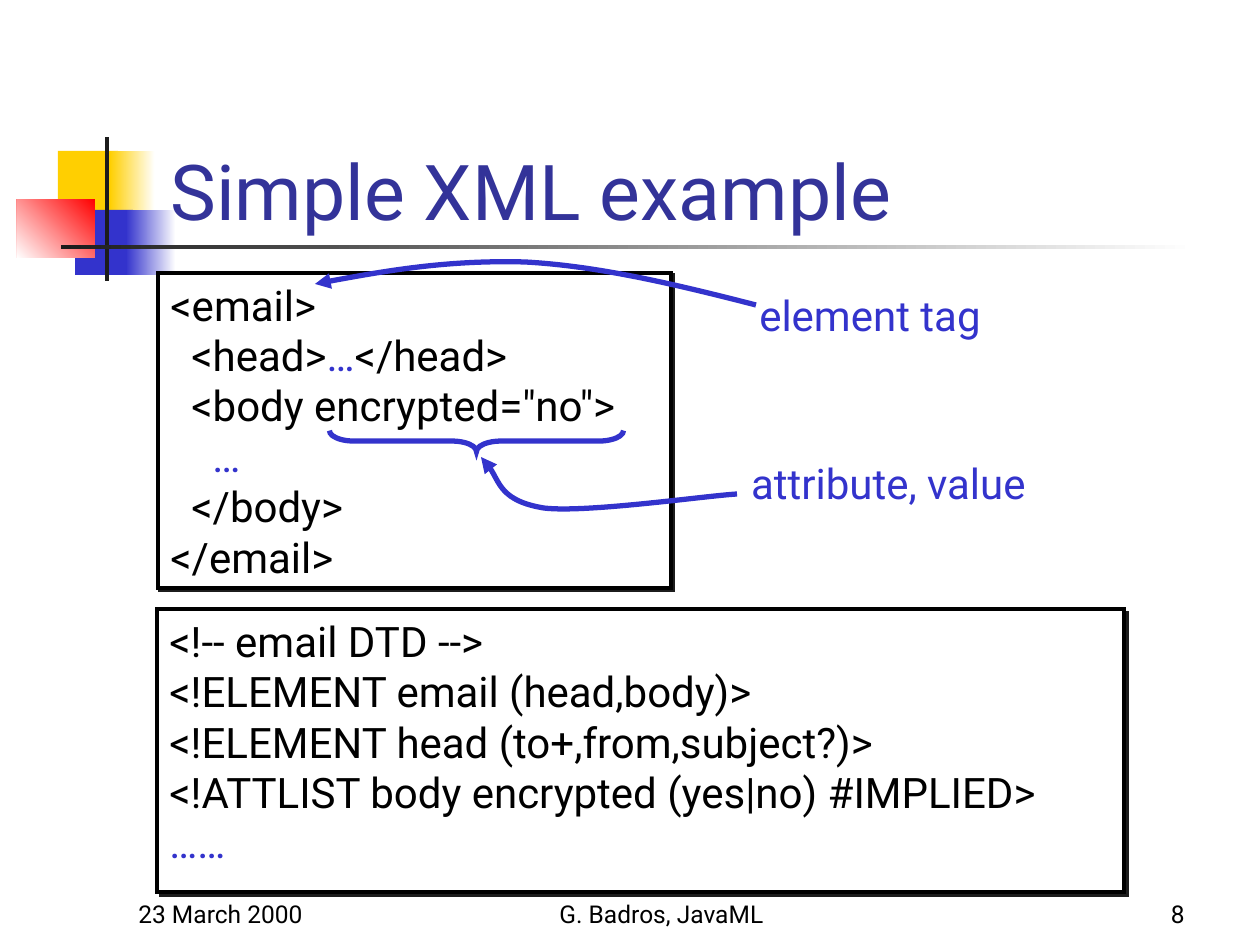
import pptx
import pptx.util
import pptx.dml.color
import pptx.enum.shapes
import pptx.enum.text
import pptx.oxml
import pptx.oxml.ns

PX = 914400 / 126
FONT = "Roboto"
COLORS = {
    "white": "FFFFFF", "black": "000000", "dark": "1C1C1C", "gold": "FFCF01",
    "blue": "3333CC", "navy": "333399", "red": "FF0000",
}
KIND = pptx.enum.shapes.MSO_SHAPE
ALIGN = pptx.enum.text.PP_ALIGN
ANCHOR = pptx.enum.text.MSO_ANCHOR
NS = pptx.oxml.ns.nsdecls("a")


def emu(n):
    return pptx.util.Emu(round(n * PX))


def rgb(name):
    return pptx.dml.color.RGBColor.from_string(COLORS[name])


def stroke(shape, color, width):
    """Solid line with sharp corners."""
    shape.line.color.rgb = rgb(color)
    shape.line.width = pptx.util.Pt(width)
    shape.line._get_or_add_ln().append(
        pptx.oxml.parse_xml(f'<a:miter {NS} lim="800000"/>'))


def add_rect(slide, box, color):
    shape = slide.shapes.add_shape(KIND.RECTANGLE, *map(emu, box))
    shape.shadow.inherit = False
    shape.line.fill.background()
    shape.fill.solid()
    shape.fill.fore_color.rgb = rgb(color)
    return shape


def add_fade(slide, box, start, end, angle=180):
    fill = add_rect(slide, box, start).fill
    fill.gradient()
    fill.gradient_angle = angle
    for stop, color, place in zip(fill.gradient_stops, (start, end), (0, 1)):
        stop.color.rgb = rgb(color)
        stop.position = place


def set_text(shape, lines, size, color="black", align=ALIGN.LEFT,
             anchor=ANCHOR.TOP, wrap=True):
    """Each line is an indent in px and a list of (text, colour) runs."""
    frame = shape.text_frame
    frame.word_wrap = wrap
    frame.vertical_anchor = anchor
    for i, (indent, runs) in enumerate(lines):
        para = frame.add_paragraph() if i else frame.paragraphs[0]
        para.alignment = align
        para.font.name = FONT
        para.font.size = pptx.util.Pt(size)
        para.font.color.rgb = rgb(color)
        if indent:
            para._p.get_or_add_pPr().set("marL", str(emu(indent)))
        for text, tint in runs:
            run = para.add_run()
            run.text = text
            if tint != color:
                run.font.color.rgb = rgb(tint)


def add_label(slide, box, text, size, color="black", **layout):
    shape = slide.shapes.add_textbox(*map(emu, box))
    set_text(shape, [(0, [(text, color)])], size, color, **layout)


def add_panel(slide, box, lines, drop):
    shape = add_rect(slide, box, "white")
    stroke(shape, "black", 2.25)
    effects = shape._element.spPr.find(pptx.oxml.ns.qn("a:effectLst"))
    effects.append(pptx.oxml.parse_xml(
        f'<a:outerShdw {NS} dist="{pptx.util.Pt(drop)}" dir="2700000" '
        f'algn="ctr" rotWithShape="0"><a:srgbClr val="{COLORS["dark"]}"/>'
        '</a:outerShdw>'))
    set_text(shape, lines, 24)


def add_curve(slide, points):
    """Arrow along cubic curves: a start, then three points per curve."""
    pen = slide.shapes.build_freeform(*points[0], scale=PX)
    pen.add_line_segments(points[1:], close=False)
    shape = pen.convert_to_shape()
    shape.shadow.inherit = False
    shape.fill.background()
    stroke(shape, "blue", 3)
    # Join each three straight steps into one curve
    steps = list(shape._element.iter(pptx.oxml.ns.qn("a:lnTo")))
    for i in range(0, len(steps), 3):
        curve = pptx.oxml.parse_xml(f"<a:cubicBezTo {NS}/>")
        steps[i].addprevious(curve)
        for step in steps[i:i + 3]:
            curve.append(step[0])
            step.getparent().remove(step)
    shape.line._get_or_add_ln().append(
        pptx.oxml.parse_xml(f'<a:tailEnd {NS} type="triangle"/>'))


def add_brace(slide, box):
    shape = slide.shapes.add_shape(KIND.LEFT_BRACE, *map(emu, box))
    shape.shadow.inherit = False
    shape.rotation = 270
    shape.adjustments[0] = 1.17
    shape.fill.background()
    stroke(shape, "blue", 3)


def add_decor(slide):
    add_rect(slide, (58, 151, 60, 66), "gold")
    add_fade(slide, (110, 151, 45, 66), "white", "gold")
    add_rect(slide, (75, 210, 58, 65), "blue")
    add_fade(slide, (126, 210, 50, 65), "white", "blue")
    add_fade(slide, (17, 199, 78, 59), "red", "white", 225)
    add_rect(slide, (105, 137, 4, 144), "dark")
    add_fade(slide, (61, 245, 1134, 4), "white", "dark")


def main():
    deck = pptx.Presentation()
    deck.slide_width, deck.slide_height = emu(1260), emu(945)
    slide = deck.slides.add_slide(deck.slide_layouts[6])

    add_decor(slide)
    add_label(slide, (158, 84, 1074, 158), "Simple XML example", 44, "navy",
              anchor=ANCHOR.BOTTOM)

    # Document type and sample document
    add_panel(slide, (157, 609, 967, 283), [
        (0, [("<!-- email DTD -->", "black")]),
        (0, [("<!ELEMENT email (head,body)>", "black")]),
        (0, [("<!ELEMENT head (to+,from,subject?)>", "black")]),
        (0, [("<!ATTLIST body encrypted (yes|no) #IMPLIED>", "black")]),
        (0, [("……", "blue")]),
    ], 2.8)
    step = 21
    add_panel(slide, (158, 273, 513, 315), [
        (0, [("<email>", "black")]),
        (step, [("<head>", "black"), ("…", "blue"), ("</head>", "black")]),
        (step, [('<body encrypted="no">', "black")]),
        (2 * step, [("…", "blue")]),
        (step, [("</body>", "black")]),
        (0, [("</email>", "black")]),
    ], 1.4)

    # Callouts
    for box, text in (((739, 283, 262, 63), "element tag"),
                      ((726, 451, 325, 63), "attribute, value")):
        add_label(slide, box, text, 24, "blue", align=ALIGN.CENTER, wrap=False)
    add_curve(slide, [(756, 305), (678, 285), (599, 266), (525, 262),
                      (451, 260), (383, 271), (315, 284)])
    add_curve(slide, [(737, 494), (704, 496), (586, 513), (544, 508),
                      (501, 501), (495, 469), (481, 457)])
    add_brace(slide, (466, 294, 21, 294))

    # Footer
    for left, width, text, align in (
            (462, 399, "G. Badros, JavaML", ALIGN.CENTER),
            (935, 262, "8", ALIGN.RIGHT),
            (126, 262, "23 March 2000", ALIGN.LEFT)):
        add_label(slide, (left, 872, width, 63), text, 14, align=align,
                  anchor=ANCHOR.BOTTOM)

    deck.save("out.pptx")


if __name__ == "__main__":
    main()
